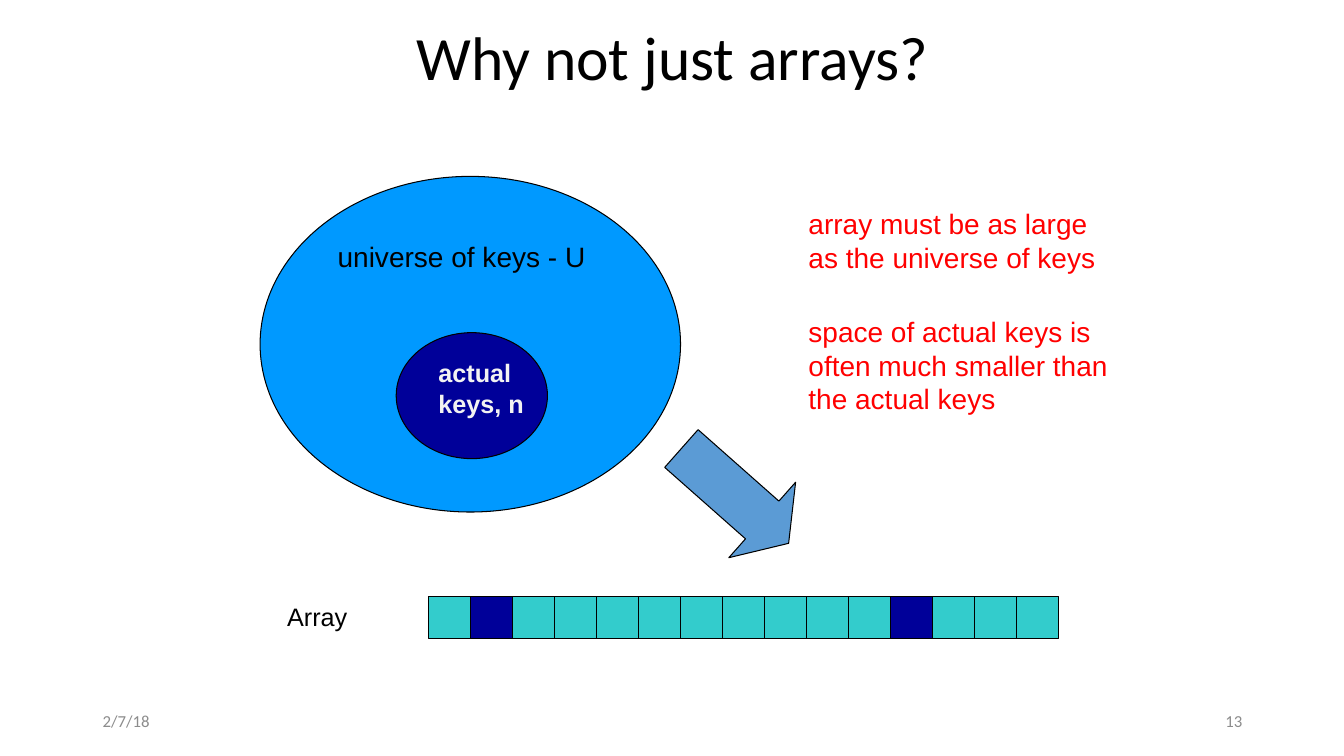
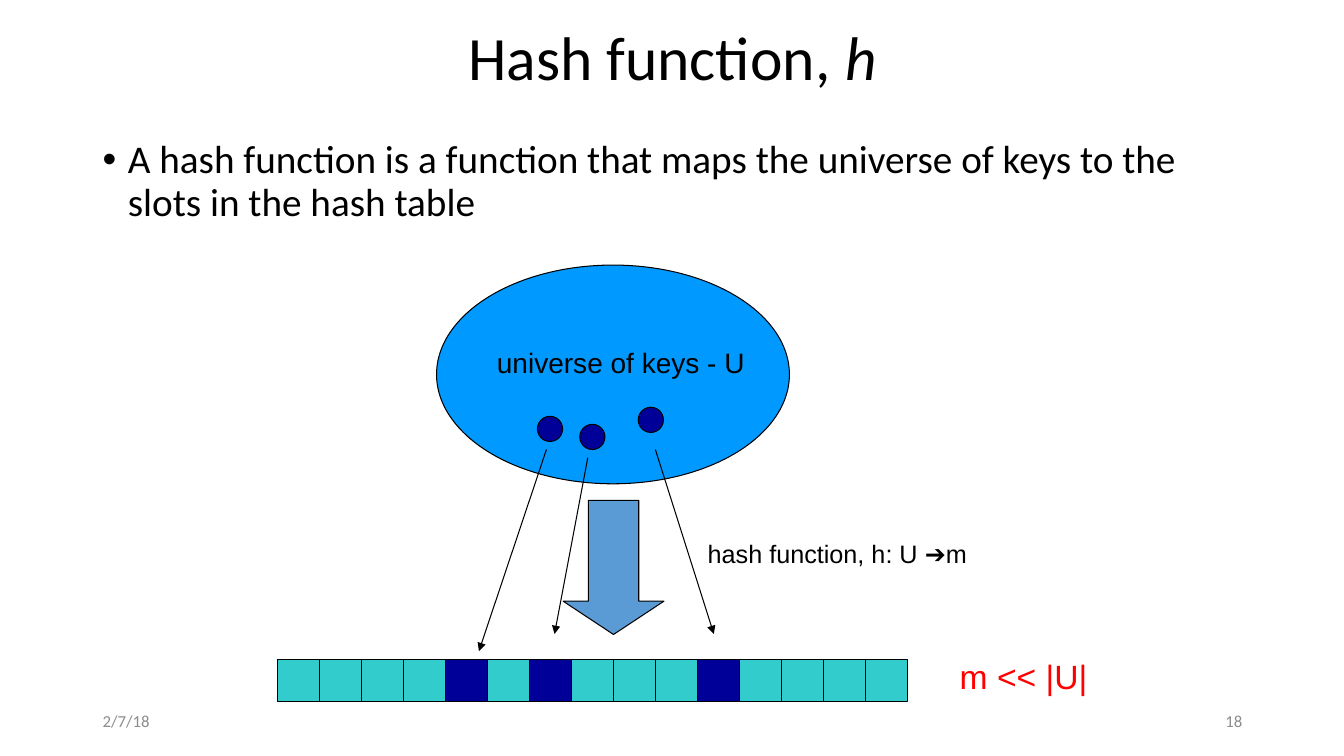
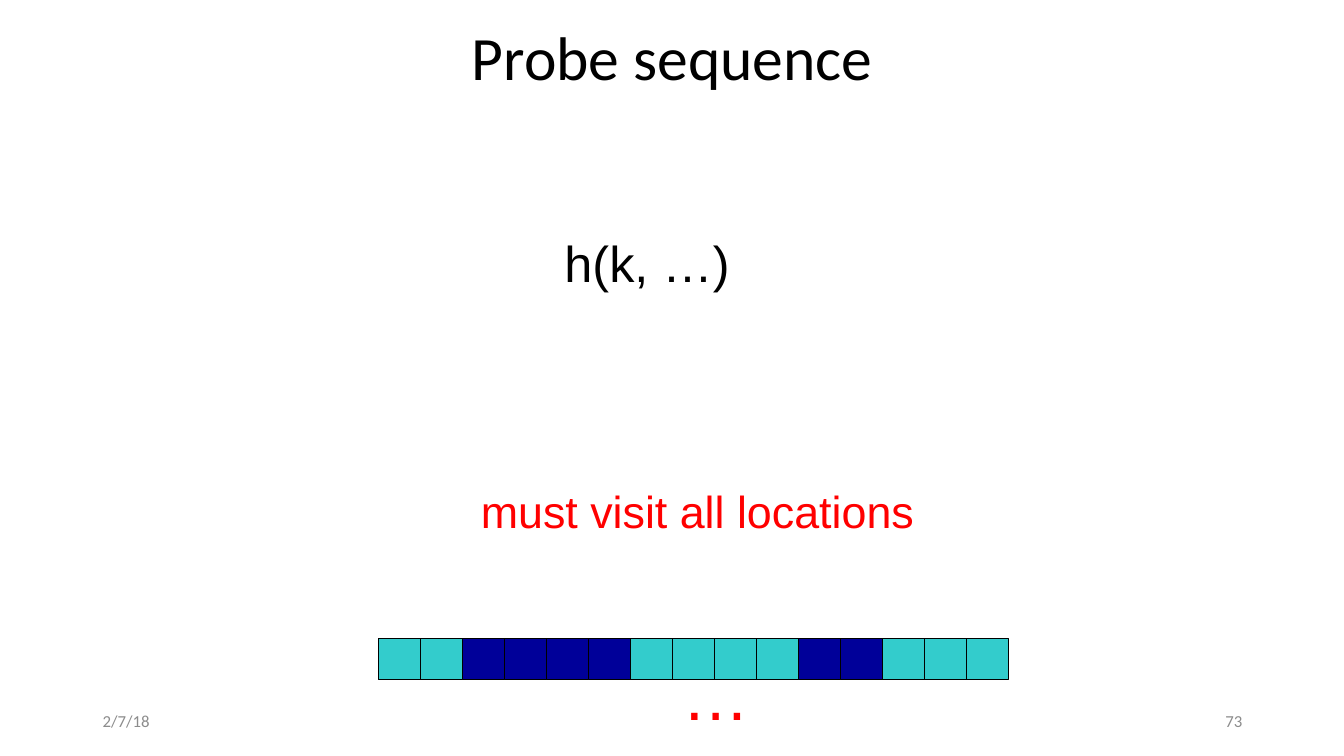
from dataclasses import dataclass

from lxml.etree import SubElement
from pptx import Presentation
from pptx.dml.color import RGBColor
from pptx.enum.shapes import MSO_CONNECTOR, MSO_SHAPE
from pptx.enum.text import MSO_ANCHOR, PP_ALIGN
from pptx.oxml.ns import qn
from pptx.slide import Slide
from pptx.util import Inches, Pt


@dataclass(frozen=True)
class Theme:
    black: str = "000000"
    red: str = "FF0000"
    pale: str = "F2F2F2"
    gray: str = "8C8C8C"
    universe: str = "0099FF"
    key: str = "000099"
    slot: str = "33CCCC"
    arrow: str = "5B9BD5"
    heading_font: str = "Calibri"
    label_font: str = "Arial"
    title_size: int = 44
    body_size: int = 28
    footer_size: int = 12
    small: int = 18
    medium: int = 20
    large: int = 24
    statement: int = 32
    formula: int = 36
    ellipsis: int = 48
    line_width: float = 0.75


THEME = Theme()
SLOT_COUNT = 15
SLOT_SIZE = 6.25 / SLOT_COUNT
MARGIN = 0.92
CONTENT_WIDTH = 11.5
KEY_SIZE = 0.25


@dataclass(frozen=True)
class Area:
    left: float
    top: float
    width: float
    height: float

    def lengths(self) -> tuple:
        return tuple(Inches(n) for n in (self.left, self.top, self.width, self.height))


@dataclass(frozen=True)
class Span:
    text: str
    italic: bool = False


@dataclass(frozen=True)
class TextStyle:
    size: int
    color: str = THEME.black
    font: str = THEME.label_font
    bold: bool = False
    align: PP_ALIGN = PP_ALIGN.LEFT
    anchor: MSO_ANCHOR = MSO_ANCHOR.TOP
    line_spacing: float = 1.0
    bullet: bool = False


@dataclass(frozen=True)
class Label:
    text: str
    area: Area
    style: TextStyle


@dataclass(frozen=True)
class Arrow:
    start: tuple[float, float]
    end: tuple[float, float]


TITLE = TextStyle(THEME.title_size, font=THEME.heading_font, align=PP_ALIGN.CENTER,
                  anchor=MSO_ANCHOR.MIDDLE, line_spacing=0.9)
BODY = TextStyle(THEME.body_size, font=THEME.heading_font, line_spacing=0.9, bullet=True)
DATE = TextStyle(THEME.footer_size, THEME.gray, THEME.heading_font, anchor=MSO_ANCHOR.MIDDLE)
NUMBER = TextStyle(THEME.footer_size, THEME.gray, THEME.heading_font,
                   align=PP_ALIGN.RIGHT, anchor=MSO_ANCHOR.MIDDLE)
SMALL = TextStyle(THEME.small)
MEDIUM = TextStyle(THEME.medium)
REMARK = TextStyle(THEME.medium, THEME.red)
KEYS = TextStyle(THEME.small, THEME.pale, bold=True)


def add_text(page: Slide, area: Area, spans: list[Span], style: TextStyle) -> None:
    box = page.shapes.add_textbox(*area.lengths())
    frame = box.text_frame
    frame.word_wrap = True
    frame.vertical_anchor = style.anchor
    para = frame.paragraphs[0]
    para.alignment = style.align
    para.line_spacing = style.line_spacing
    if style.bullet:
        properties = para._p.get_or_add_pPr()
        properties.set("marL", str(Inches(0.25)))
        properties.set("indent", str(Inches(-0.25)))
        SubElement(properties, qn("a:buFont")).set("typeface", "Arial")
        SubElement(properties, qn("a:buChar")).set("char", "•")
    for span in spans:
        for index, line in enumerate(span.text.split("\n")):
            if index:
                para.add_line_break()
            run = para.add_run()
            run.text = line
            run.font.name = style.font
            run.font.size = Pt(style.size)
            run.font.bold = style.bold
            run.font.italic = span.italic
            run.font.color.rgb = RGBColor.from_string(style.color)


def add_labels(page: Slide, labels: list[Label]) -> None:
    for label in labels:
        add_text(page, label.area, [Span(label.text)], label.style)


def add_figure(shapes, kind: MSO_SHAPE, area: Area, fill: str):
    figure = shapes.add_shape(kind, *area.lengths())
    figure.shadow.inherit = False
    figure.fill.solid()
    figure.fill.fore_color.rgb = RGBColor.from_string(fill)
    figure.line.color.rgb = RGBColor.from_string(THEME.black)
    figure.line.width = Pt(THEME.line_width)
    return figure


def add_block_arrow(page: Slide, area: Area, rotation: float, head: float) -> None:
    figure = add_figure(page.shapes, MSO_SHAPE.RIGHT_ARROW, area, THEME.arrow)
    figure.rotation = rotation
    figure.adjustments[0] = 0.5
    figure.adjustments[1] = head


def add_line(shapes, arrow: Arrow, pointed: bool = False) -> None:
    points = [Inches(n) for n in (*arrow.start, *arrow.end)]
    line = shapes.add_connector(MSO_CONNECTOR.STRAIGHT, *points)
    line.line.color.rgb = RGBColor.from_string(THEME.black)
    line.line.width = Pt(THEME.line_width)
    properties = line._element.spPr
    if pointed:
        SubElement(properties.get_or_add_ln(), qn("a:tailEnd")).set("type", "triangle")
    SubElement(properties, qn("a:effectLst"))


def add_slots(page: Slide, left: float, top: float, used: list[int]) -> None:
    strip = page.shapes.add_group_shape().shapes
    add_figure(strip, MSO_SHAPE.RECTANGLE,
               Area(left, top, SLOT_COUNT * SLOT_SIZE, SLOT_SIZE), THEME.slot)
    for index in range(1, SLOT_COUNT):
        x = left + index * SLOT_SIZE
        add_line(strip, Arrow((x, top), (x, top + SLOT_SIZE)))
    for index in used:
        add_figure(page.shapes, MSO_SHAPE.RECTANGLE,
                   Area(left + index * SLOT_SIZE, top, SLOT_SIZE, SLOT_SIZE), THEME.key)


def add_page(deck, title: list[Span], number: str) -> Slide:
    page = deck.slides.add_slide(deck.slide_layouts[6])
    add_text(page, Area(MARGIN, 0.1, CONTENT_WIDTH, 1.01), title, TITLE)
    add_labels(page, [
        Label("2/7/18", Area(MARGIN, 6.95, 3, 0.4), DATE),
        Label(number, Area(MARGIN + CONTENT_WIDTH - 3, 6.95, 3, 0.4), NUMBER),
    ])
    return page


def build_arrays(deck) -> None:
    page = add_page(deck, [Span("Why not just arrays?")], "13")
    add_slots(page, 4.25, 5.92, [1, 11])
    add_figure(page.shapes, MSO_SHAPE.OVAL, Area(2.58, 1.75, 4.17, 3.33), THEME.universe)
    add_block_arrow(page, Area(6.58, 4.42, 1.42, 1), 41.5, 0.35)
    add_figure(page.shapes, MSO_SHAPE.OVAL, Area(3.93, 3.3, 1.5, 1.25), THEME.key)
    add_labels(page, [
        Label("Array", Area(2.75, 5.92, 0.83, 0.4), SMALL),
        Label("array must be as large as the universe of keys",
              Area(7.92, 2, 3.17, 0.77), REMARK),
        Label("space of actual keys is often much smaller than the actual keys",
              Area(7.92, 3.07, 3.17, 1.1), REMARK),
        Label("actual\nkeys, n", Area(4.25, 3.5, 1.42, 0.7), KEYS),
        Label("universe of keys - U", Area(3.25, 2.33, 2.75, 0.43), MEDIUM),
    ])


def build_hash_function(deck) -> None:
    page = add_page(deck, [Span("Hash function, "), Span("h", italic=True)], "18")
    add_figure(page.shapes, MSO_SHAPE.OVAL, Area(4.33, 2.63, 3.5, 2.17), THEME.universe)
    add_block_arrow(page, Area(5.42, 5.13, 1.33, 1), 90, 0.33)
    add_slots(page, 2.75, 6.54, [4, 6, 10])
    for left, top in ((5.33, 4.13), (5.75, 4.21), (6.33, 4.04)):
        add_figure(page.shapes, MSO_SHAPE.OVAL, Area(left, top, KEY_SIZE, KEY_SIZE), THEME.key)
    for arrow in (
        Arrow((5.42, 4.46), (4.75, 6.46)),
        Arrow((5.83, 4.54), (5.5, 6.29)),
        Arrow((6.5, 4.46), (7.08, 6.29)),
    ):
        add_line(page.shapes, arrow, pointed=True)
    add_labels(page, [
        Label("A hash function is a function that maps the universe of keys "
              "to the slots in the hash table",
              Area(MARGIN, 1.34, CONTENT_WIDTH, 1.1), BODY),
        Label("universe of keys - U", Area(4.83, 3.38, 2.75, 0.43), MEDIUM),
        Label("m << |U|", Area(9.42, 6.46, 2.25, 0.5), TextStyle(THEME.large, THEME.red)),
        Label("hash function, h: U ➔m", Area(6.92, 5.29, 3.58, 0.4), SMALL),
    ])


def build_probe_sequence(deck) -> None:
    page = add_page(deck, [Span("Probe sequence")], "73")
    add_slots(page, 3.75, 6.33, [2, 3, 4, 5, 10, 11])
    add_labels(page, [
        Label("h(k, …)", Area(5.5, 2.25, 3.08, 0.7), TextStyle(THEME.formula)),
        Label("…", Area(6.67, 6.43, 2, 0.9), TextStyle(THEME.ellipsis, THEME.red)),
        Label("must visit all locations", Area(4.67, 4.75, 5.25, 0.63),
              TextStyle(THEME.statement, THEME.red)),
    ])


def main() -> None:
    deck = Presentation()
    deck.slide_width = Inches(13.33)
    deck.slide_height = Inches(7.5)
    build_arrays(deck)
    build_hash_function(deck)
    build_probe_sequence(deck)
    deck.save("out.pptx")


if __name__ == "__main__":
    main()
